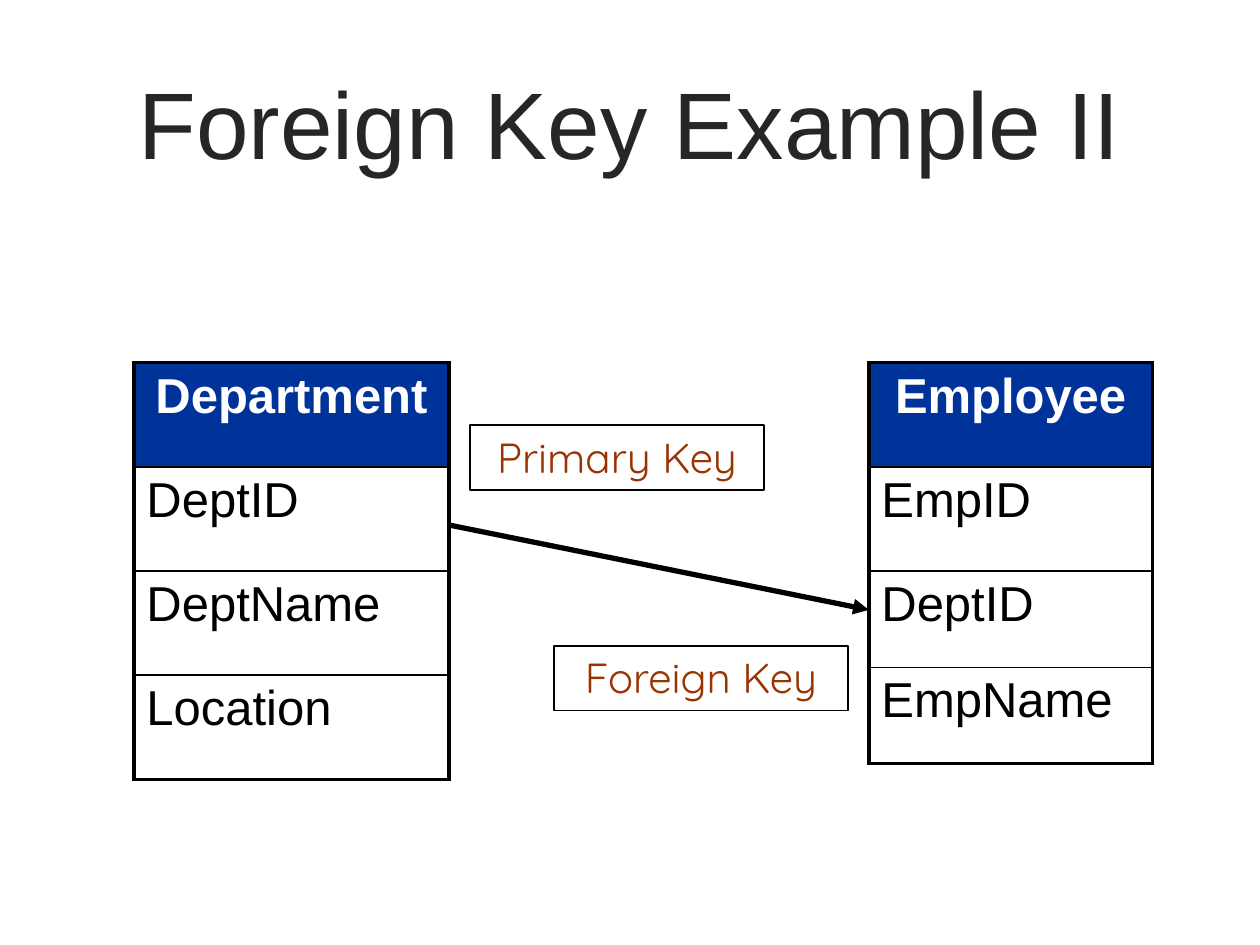
from dataclasses import dataclass

import lxml.etree
import pptx
import pptx.dml.color
import pptx.enum.shapes
import pptx.enum.text
import pptx.oxml.ns
import pptx.slide
import pptx.text.text
import pptx.util

Pt = pptx.util.Pt
CENTER = pptx.enum.text.PP_ALIGN.CENTER
LEFT = pptx.enum.text.PP_ALIGN.LEFT
MIDDLE = pptx.enum.text.MSO_ANCHOR.MIDDLE
COLORS = {
    "title": "262626",
    "header": "003399",
    "header_text": "FFFFFF",
    "ink": "000000",
    "key": "993300",
}
THICK, THIN = 2.25, 1


@dataclass
class Entity:
    name: str
    fields: list[str]
    left: float
    top: float
    width: float
    row_heights: list[float]


@dataclass
class KeyLabel:
    text: str
    left: float
    top: float
    width: float = 168
    height: float = 37


ENTITIES = [
    Entity("Department", ["DeptID", "DeptName", "Location"],
           76.5, 207.3, 180, [59.5] * 4),
    Entity("Employee", ["EmpID", "DeptID", "EmpName"],
           496.5, 207.3, 162, [59.5, 59.5, 55, 55]),
]
KEY_LABELS = [
    KeyLabel("Foreign Key", 316.5, 369),
    KeyLabel("Primary Key", 268.5, 243),
]


def rgb(name: str) -> pptx.dml.color.RGBColor:
    return pptx.dml.color.RGBColor.from_string(COLORS[name])


def write(tf: pptx.text.text.TextFrame, text: str, size: float, color: str,
          font: str = "Arial", align=CENTER, bold: bool = False) -> None:
    p = tf.paragraphs[0]
    p.text = text
    p.alignment = align
    p.font.name = font
    p.font.size = Pt(size)
    p.font.bold = bold
    p.font.color.rgb = rgb(color)


def set_borders(cell, widths: dict[str, float]) -> None:
    """Put border lines ahead of the cell's fill, as the schema requires."""
    tc_pr = cell._tc.get_or_add_tcPr()
    for i, (side, width) in enumerate(widths.items()):
        ln = lxml.etree.Element(pptx.oxml.ns.qn(f"a:ln{side}"), w=str(int(Pt(width))))
        fill = lxml.etree.SubElement(ln, pptx.oxml.ns.qn("a:solidFill"))
        lxml.etree.SubElement(fill, pptx.oxml.ns.qn("a:srgbClr"), val=COLORS["ink"])
        tc_pr.insert(i, ln)


def add_title(s: pptx.slide.Slide, text: str) -> None:
    sp = s.shapes.add_textbox(Pt(57), Pt(24.5), Pt(605.5), Pt(90))
    tf = sp.text_frame
    tf.word_wrap = True
    tf.vertical_anchor = MIDDLE
    write(tf, text, 54, "title")


def add_entity(s: pptx.slide.Slide, entity: Entity) -> None:
    names = [entity.name, *entity.fields]
    table = s.shapes.add_table(len(names), 1, Pt(entity.left), Pt(entity.top),
                               Pt(entity.width), Pt(sum(entity.row_heights))).table
    table.first_row = table.horz_banding = False
    last = len(names) - 1
    for i, (name, height) in enumerate(zip(names, entity.row_heights)):
        table.rows[i].height = Pt(height)
        cell = table.cell(i, 0)
        if i == 0:
            cell.fill.solid()
            cell.fill.fore_color.rgb = rgb("header")
            write(cell.text_frame, name, 28, "header_text", bold=True)
        else:
            cell.fill.background()
            write(cell.text_frame, name, 28, "ink", align=LEFT)
        set_borders(cell, {"L": THICK, "R": THICK,
                           "T": THICK if i == 0 else THIN,
                           "B": THICK if i == last else THIN})


def add_arrow(s: pptx.slide.Slide, x1: float, y1: float, x2: float, y2: float) -> None:
    cxn = s.shapes.add_connector(pptx.enum.shapes.MSO_CONNECTOR.STRAIGHT,
                                 Pt(x1), Pt(y1), Pt(x2), Pt(y2))
    cxn.line.width = Pt(3)
    cxn.line.color.rgb = rgb("ink")
    ln = cxn.line._get_or_add_ln()
    lxml.etree.SubElement(ln, pptx.oxml.ns.qn("a:tailEnd"), type="triangle")
    lxml.etree.SubElement(cxn._element.spPr, pptx.oxml.ns.qn("a:effectLst"))


def add_key_label(s: pptx.slide.Slide, label: KeyLabel) -> None:
    sp = s.shapes.add_shape(pptx.enum.shapes.MSO_SHAPE.RECTANGLE, Pt(label.left),
                            Pt(label.top), Pt(label.width), Pt(label.height))
    sp.shadow.inherit = False
    sp.fill.background()
    sp.line.color.rgb = rgb("ink")
    sp.line.width = Pt(THIN)
    tf = sp.text_frame
    tf.word_wrap = True
    tf.auto_size = pptx.enum.text.MSO_AUTO_SIZE.SHAPE_TO_FIT_TEXT
    tf.vertical_anchor = pptx.enum.text.MSO_ANCHOR.TOP
    write(tf, label.text, 24, "key", font="Quicksand")


def main() -> None:
    prs = pptx.Presentation()
    prs.slide_width, prs.slide_height = Pt(720), Pt(540)
    s = prs.slides.add_slide(prs.slide_layouts[6])
    add_title(s, "Foreign Key Example II")
    for entity in ENTITIES:
        add_entity(s, entity)
    department, employee = ENTITIES
    add_arrow(s, department.left + department.width, 300, employee.left, 348.5)
    for label in KEY_LABELS:
        add_key_label(s, label)
    prs.save("out.pptx")


if __name__ == "__main__":
    main()
